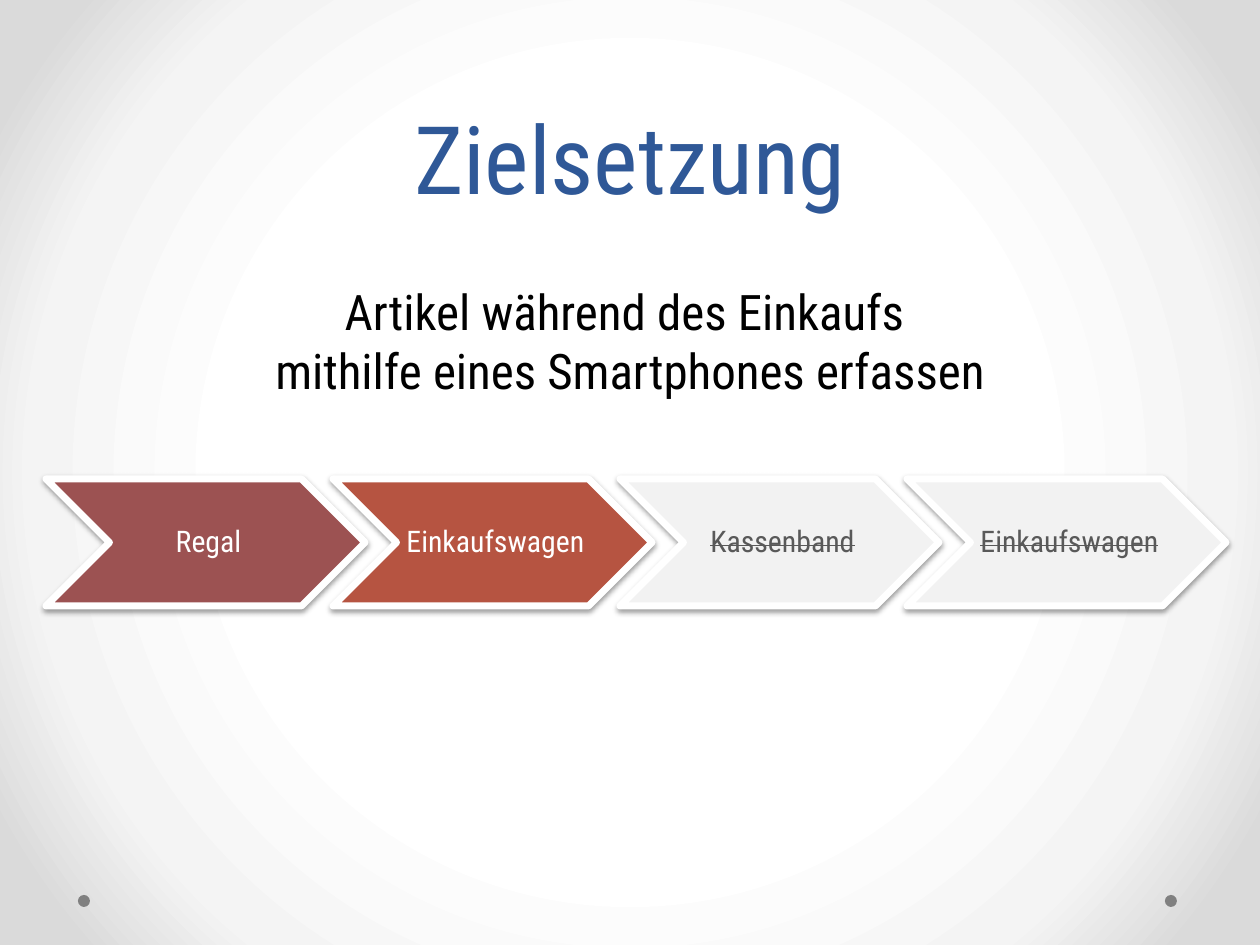
from dataclasses import dataclass

from pptx import Presentation
from pptx.dml.color import RGBColor
from pptx.enum.shapes import MSO_SHAPE as SHAPE
from pptx.enum.text import MSO_ANCHOR as ANCHOR, PP_ALIGN as ALIGN
from pptx.oxml import parse_xml
from pptx.oxml.ns import nsdecls, qn
from pptx.util import Emu, Pt

TITLE = "Zielsetzung"
GOAL = ["Artikel während des Einkaufs ", "mithilfe eines Smartphones erfassen"]
STEPS = [
    ("Regal", "9C5252", True),
    ("Einkaufswagen", "B65441", True),
    ("Kassenband", "F2F2F2", False),
    ("Einkaufswagen", "F2F2F2", False),
]


@dataclass(frozen=True)
class Theme:
    font: str = "Roboto Condensed"
    title: str = "2F5897"
    text: str = "000000"
    active: str = "FFFFFF"
    dropped: str = "595959"
    outline: str = "FFFFFF"
    dot: str = "808080"
    backdrop: tuple = ((50, "FFFFFF"), (76, "F4F4F4"), (92, "DADADA"))
    title_size: int = 54
    goal_size: int = 28
    step_size: int = 17


T = Theme()
SLIDE_W, SLIDE_H = 1260, 945
STEP_X, STEP_Y, STEP_W, STEP_H, STEP_PITCH = 46, 479, 319, 127, 287
LABEL_INSET = STEP_H // 2
DOT_XS, DOT_Y, DOT_SIZE = (78, 1165), 895, 12


def px(*values):
    return [Emu(v * 7257) for v in values]


def rgb(value):
    return RGBColor.from_string(value)


def style(p, size, color):
    p.alignment = ALIGN.CENTER
    p.font.name, p.font.size = T.font, Pt(size)
    p.font.color.rgb = rgb(color)


def paint_background(s):
    s.background.fill.solid()
    stops = "".join(
        f'<a:gs pos="{pos * 1000}"><a:srgbClr val="{color}"/></a:gs>'
        for pos, color in T.backdrop
    )
    gradient = parse_xml(
        f'<a:gradFill {nsdecls("a")} rotWithShape="1"><a:gsLst>{stops}</a:gsLst>'
        '<a:path path="circle"><a:fillToRect l="50000" t="50000" r="50000" b="50000"/>'
        "</a:path></a:gradFill>"
    )
    solid = next(s.element.iter(qn("a:solidFill")))
    solid.getparent().replace(solid, gradient)


def add_filled(s, kind, box, color):
    sp = s.shapes.add_shape(kind, *px(*box))
    sp.shadow.inherit = False
    sp.fill.solid()
    sp.fill.fore_color.rgb = rgb(color)
    sp.line.fill.background()
    return sp


def add_shadow(sp):
    effects = sp.element.spPr.find(qn("a:effectLst"))
    effects.append(parse_xml(
        f'<a:outerShdw {nsdecls("a")} blurRad="{Pt(3.1)}" dist="{Pt(1.6)}" '
        'dir="5400000" rotWithShape="0"><a:srgbClr val="000000">'
        '<a:alpha val="38000"/></a:srgbClr></a:outerShdw>'
    ))


def add_step(s, index, label, color, active):
    x = STEP_X + index * STEP_PITCH
    sp = add_filled(s, SHAPE.CHEVRON, (x, STEP_Y, STEP_W, STEP_H), color)
    sp.line.color.rgb = rgb(T.outline)
    sp.line.width = Pt(4)
    add_shadow(sp)

    box = px(x + LABEL_INSET, STEP_Y, STEP_W - 2 * LABEL_INSET, STEP_H)
    tf = s.shapes.add_textbox(*box).text_frame
    tf.word_wrap = True
    tf.vertical_anchor = ANCHOR.MIDDLE
    tf.margin_left, tf.margin_top, tf.margin_right, tf.margin_bottom = px(9, 3, 3, 3)
    p = tf.paragraphs[0]
    style(p, T.step_size, T.active if active else T.dropped)
    p.line_spacing = 0.9
    r = p.add_run()
    r.text = label
    if not active:
        r.font._element.set("strike", "sngStrike")


def main():
    prs = Presentation()
    prs.slide_width, prs.slide_height = px(SLIDE_W, SLIDE_H)
    s = prs.slides.add_slide(prs.slide_layouts[5])
    paint_background(s)

    for x in DOT_XS:
        add_filled(s, SHAPE.OVAL, (x, DOT_Y, DOT_SIZE, DOT_SIZE), T.dot)

    title = s.shapes.title
    title.left, title.top, title.width, title.height = px(63, 0, 1134, 220)
    tf = title.text_frame
    tf.text = TITLE
    tf.vertical_anchor = ANCHOR.BOTTOM
    style(tf.paragraphs[0], T.title_size, T.title)
    tf.paragraphs[0].line_spacing = Pt(58)

    for index, step in enumerate(STEPS):
        add_step(s, index, *step)

    tf = s.shapes.add_textbox(*px(0, 275, SLIDE_W, 131)).text_frame
    tf.word_wrap = True
    tf.text = "\n".join(GOAL)
    for p in tf.paragraphs:
        style(p, T.goal_size, T.text)

    prs.save("out.pptx")


if __name__ == "__main__":
    main()
